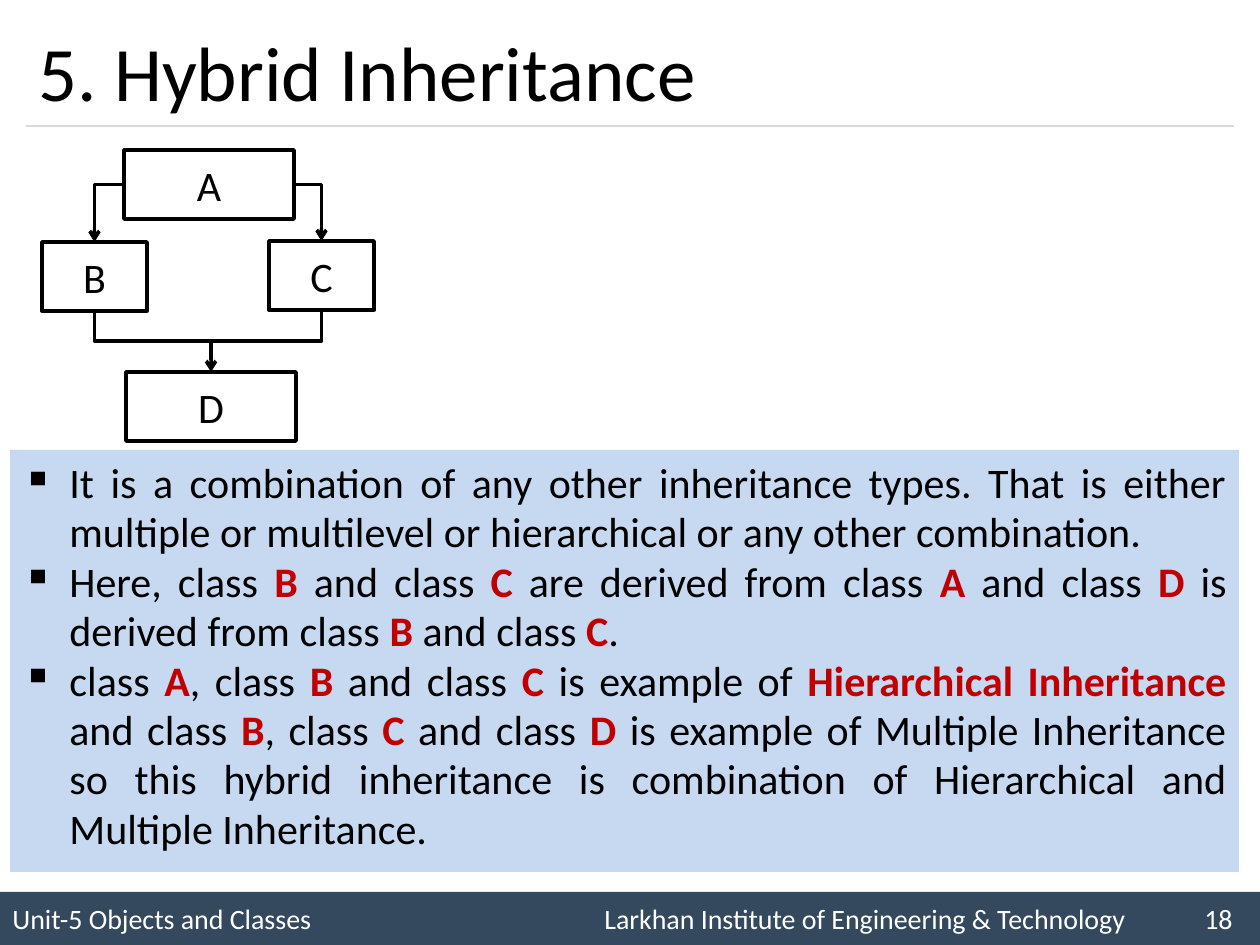
import lxml.etree
import pptx
import pptx.dml.color
import pptx.enum.shapes
import pptx.enum.text
import pptx.oxml.ns
import pptx.util

RGBColor = pptx.dml.color.RGBColor
BLACK = RGBColor(0x00, 0x00, 0x00)
WHITE = RGBColor(0xFF, 0xFF, 0xFF)
RED = RGBColor(0xC0, 0x00, 0x00)
PALE_BLUE = RGBColor(0xC6, 0xD9, 0xF1)
NAVY = RGBColor(0x34, 0x49, 0x5E)
GREY = RGBColor(0xD9, 0xD9, 0xD9)

FONT = "Calibri"
PX = 914400 // 126
ALIGN = pptx.enum.text.PP_ALIGN
ANCHOR = pptx.enum.text.MSO_ANCHOR

TITLE = "5. Hybrid Inheritance"
FOOTER = "Unit-5 Objects and Classes\tLarkhan Institute of Engineering & Technology\t18"
FOOTER_TABS = (592, 1192)

# Text between asterisks is bold and red.
BULLETS = [
    "It is a combination of any other inheritance types. That is either "
    "multiple or multilevel or hierarchical or any other combination.",
    "Here, class *B* and class *C* are derived from class *A* and class *D* "
    "is derived from class *B* and class *C*.",
    "class *A*, class *B* and class *C* is example of *Hierarchical Inheritance *"
    "and class *B*, class *C* and class *D* is example of Multiple Inheritance "
    "so this hybrid inheritance is combination of Hierarchical and Multiple Inheritance.",
]

# Class name: left, top, width, height
CLASSES = {
    "A": (124, 150, 170, 69),
    "B": (42, 242, 105, 69),
    "C": (269, 241, 105, 69),
    "D": (126, 372, 170, 69),
}


def add_child(parent, tag, **attributes):
    child = lxml.etree.SubElement(parent, pptx.oxml.ns.qn(tag))
    for name, value in attributes.items():
        child.set(name, str(value))
    return child


def add_box(slide, bounds, fill=None, line=None):
    shape = slide.shapes.add_shape(
        pptx.enum.shapes.MSO_SHAPE.RECTANGLE, *(value * PX for value in bounds))
    shape.shadow.inherit = False
    if fill is None:
        shape.fill.background()
    else:
        shape.fill.solid()
        shape.fill.fore_color.rgb = fill
    if line is None:
        shape.line.fill.background()
    else:
        shape.line.color.rgb = line
        shape.line.width = pptx.util.Pt(2)
    shape.text_frame.word_wrap = True
    shape.text_frame.vertical_anchor = ANCHOR.MIDDLE
    return shape


def add_run(paragraph, text, size, color=BLACK, bold=False):
    run = paragraph.add_run()
    run.text = text
    run.font.name = FONT
    run.font.size = pptx.util.Pt(size)
    run.font.color.rgb = color
    run.font.bold = bold


def add_text(shape, text, size, color=BLACK, align=ALIGN.LEFT):
    paragraph = shape.text_frame.paragraphs[0]
    paragraph.alignment = align
    add_run(paragraph, text, size, color)
    return paragraph


def add_bullets(shape, bullets):
    frame = shape.text_frame
    frame.vertical_anchor = ANCHOR.TOP
    frame.margin_top = 9 * PX
    for index, bullet in enumerate(bullets):
        paragraph = frame.add_paragraph() if index else frame.paragraphs[0]
        paragraph.alignment = ALIGN.JUSTIFY
        paragraph.line_spacing = 0.98
        properties = paragraph._p.get_or_add_pPr()
        properties.set("marL", str(47 * PX))
        properties.set("indent", str(-47 * PX))
        add_child(properties, "a:buChar", char="▪")
        for position, part in enumerate(bullet.split("*")):
            strong = position % 2 == 1
            add_run(paragraph, part, 24, RED if strong else BLACK, strong)


def add_line(slide, begin, end, color, width, preset="line", arrow=False, down_first=False):
    """Connect two points; down_first turns an elbow so that it leaves downwards."""
    if down_first:
        center_x, center_y = (begin[0] + end[0]) / 2, (begin[1] + end[1]) / 2
        begin, end = [(center_x + y - center_y, center_y - x + center_x)
                      for x, y in (begin, end)]
    connector = slide.shapes.add_connector(
        pptx.enum.shapes.MSO_CONNECTOR.STRAIGHT,
        *(round(value * PX) for value in (*begin, *end)))
    connector.line.color.rgb = color
    connector.line.width = pptx.util.Pt(width)
    properties = connector._element.spPr
    properties.find(pptx.oxml.ns.qn("a:prstGeom")).set("prst", preset)
    if down_first:
        properties.find(pptx.oxml.ns.qn("a:xfrm")).set("rot", str(90 * 60000))
    if arrow:
        add_child(properties.find(pptx.oxml.ns.qn("a:ln")), "a:tailEnd", type="arrow")
    add_child(properties, "a:effectLst")


def side(name, across, down):
    """Point on a class box, as fractions of its width and height."""
    left, top, width, height = CLASSES[name]
    return left + across * width, top + down * height


def add_diagram(slide):
    for name, bounds in CLASSES.items():
        add_text(add_box(slide, bounds, WHITE, BLACK), name, 24, align=ALIGN.CENTER)
    for name, across in (("C", 1), ("B", 0)):
        add_line(slide, side("A", across, 0.5), side(name, 0.5, 0), BLACK, 2,
                 "bentConnector2", arrow=True)
    start, target = side("C", 0.5, 1), side("D", 0.5, 0)
    junction = (target[0], (start[1] + target[1]) / 2)
    add_line(slide, start, target, BLACK, 2, "bentConnector3", arrow=True, down_first=True)
    add_line(slide, side("B", 0.5, 1), junction, BLACK, 2, "bentConnector2", down_first=True)


def main():
    presentation = pptx.Presentation()
    presentation.slide_width = 1260 * PX
    presentation.slide_height = 945 * PX
    slide = presentation.slides.add_slide(presentation.slide_layouts[6])

    footer = add_text(add_box(slide, (0, 892, 1260, 53), NAVY), FOOTER, 16, WHITE)
    tabs = add_child(footer._p.get_or_add_pPr(), "a:tabLst")
    for position in FOOTER_TABS:
        add_child(tabs, "a:tab", pos=position * PX, algn="l")

    add_line(slide, (26, 126), (1234, 126), GREY, 0.75)
    title = slide.shapes.add_textbox(*(value * PX for value in (26, 15, 1207, 111)))
    title.text_frame.word_wrap = True
    title.text_frame.vertical_anchor = ANCHOR.MIDDLE
    add_text(title, TITLE, 44)

    add_bullets(add_box(slide, (10, 450, 1229, 422), PALE_BLUE), BULLETS)
    add_diagram(slide)
    presentation.save("out.pptx")


if __name__ == "__main__":
    main()
